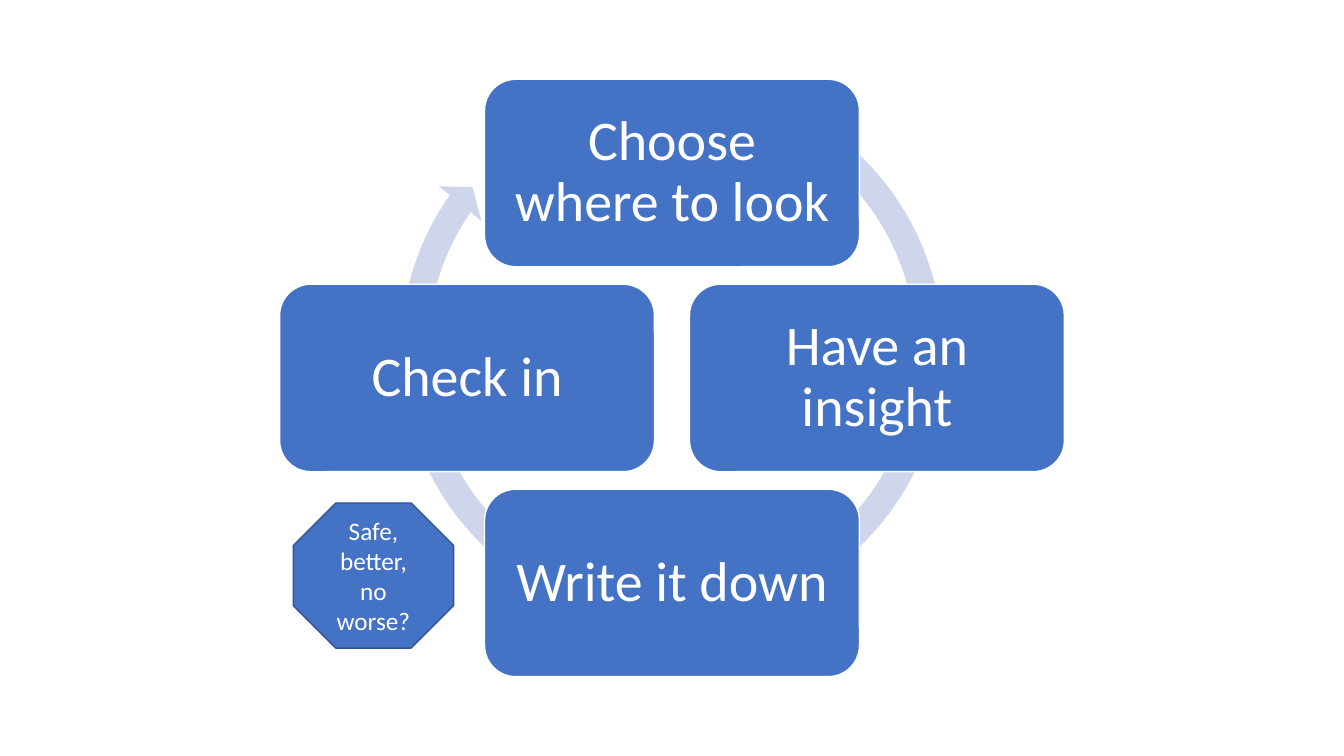
from pptx import Presentation
from pptx.dml.color import RGBColor
from pptx.enum.shapes import MSO_SHAPE
from pptx.enum.text import MSO_ANCHOR, PP_ALIGN
from pptx.util import Pt

COLORS = {"blue": "4472C4", "edge": "325491", "ring": "CFD5EA", "white": "FFFFFF"}
FONT = "Calibri"
CENTER_X, CENTER_Y = 480, 270
STEP_WIDTH, STEP_HEIGHT = 267.8, 133.9
RADIUS = 146.4
RING_SIZE, RING_CENTER_Y = 407.5, 250.6
RING_ADJUSTMENTS = (0.047, 2.729, 128.887, 179.919, 0.048)
# Each step with its direction from the centre of the cycle
STEPS = [
    ("Choose where to look", 0, -1),
    ("Have an insight", 1, 0),
    ("Write it down", 0, 1),
    ("Check in", -1, 0),
]


def color(name):
    """Return the named colour."""
    return RGBColor.from_string(COLORS[name])


def add_filled(shapes, kind, left, top, width, height, fill, line=None):
    """Add a flat preset shape with an optional one-point outline."""
    shape = shapes.add_shape(kind, Pt(left), Pt(top), Pt(width), Pt(height))
    shape.shadow.inherit = False
    shape.fill.solid()
    shape.fill.fore_color.rgb = color(fill)
    if line:
        shape.line.color.rgb = color(line)
        shape.line.width = Pt(1)
    else:
        shape.line.fill.background()
    return shape


def write_label(shape, text, size):
    """Write white text centred in a shape and return its paragraph."""
    frame = shape.text_frame
    frame.text = text
    frame.word_wrap = True
    frame.vertical_anchor = MSO_ANCHOR.MIDDLE
    para = frame.paragraphs[0]
    para.alignment = PP_ALIGN.CENTER
    for span in para.runs:
        span.font.name = FONT
        span.font.size = Pt(size)
        span.font.color.rgb = color("white")
    return para


def add_ring(shapes):
    """Add the circular arrow that runs behind the steps."""
    ring = add_filled(shapes, MSO_SHAPE.CIRCULAR_ARROW,
                      CENTER_X - RING_SIZE / 2, RING_CENTER_Y - RING_SIZE / 2,
                      RING_SIZE, RING_SIZE, "ring")
    for index, value in enumerate(RING_ADJUSTMENTS):
        ring.adjustments[index] = value


def add_step(shapes, text, across, down):
    """Add one step of the cycle in its direction from the centre."""
    left = CENTER_X + across * RADIUS - STEP_WIDTH / 2
    top = CENTER_Y + down * RADIUS - STEP_HEIGHT / 2
    box = add_filled(shapes, MSO_SHAPE.ROUNDED_RECTANGLE, left, top,
                     STEP_WIDTH, STEP_HEIGHT, "blue", "white")
    para = write_label(box, text, 40)
    para.line_spacing = 0.9
    frame = box.text_frame
    frame.margin_left = frame.margin_right = Pt(12)
    frame.margin_top = frame.margin_bottom = Pt(12)


def add_stop_sign(shapes):
    """Add the octagon with the check-in question."""
    sign = add_filled(shapes, MSO_SHAPE.OCTAGON, 209.5, 359.3, 114.5, 103.7,
                      "blue", "edge")
    write_label(sign, "Safe, better, no worse?", 18)


def main():
    """Build the slide with the four-step cycle."""
    deck = Presentation()
    deck.slide_width, deck.slide_height = Pt(960), Pt(540)
    page = deck.slides.add_slide(deck.slide_layouts[6])
    cycle = page.shapes.add_group_shape()
    add_ring(cycle.shapes)
    for text, across, down in STEPS:
        add_step(cycle.shapes, text, across, down)
    add_stop_sign(page.shapes)
    deck.save("out.pptx")


main()
